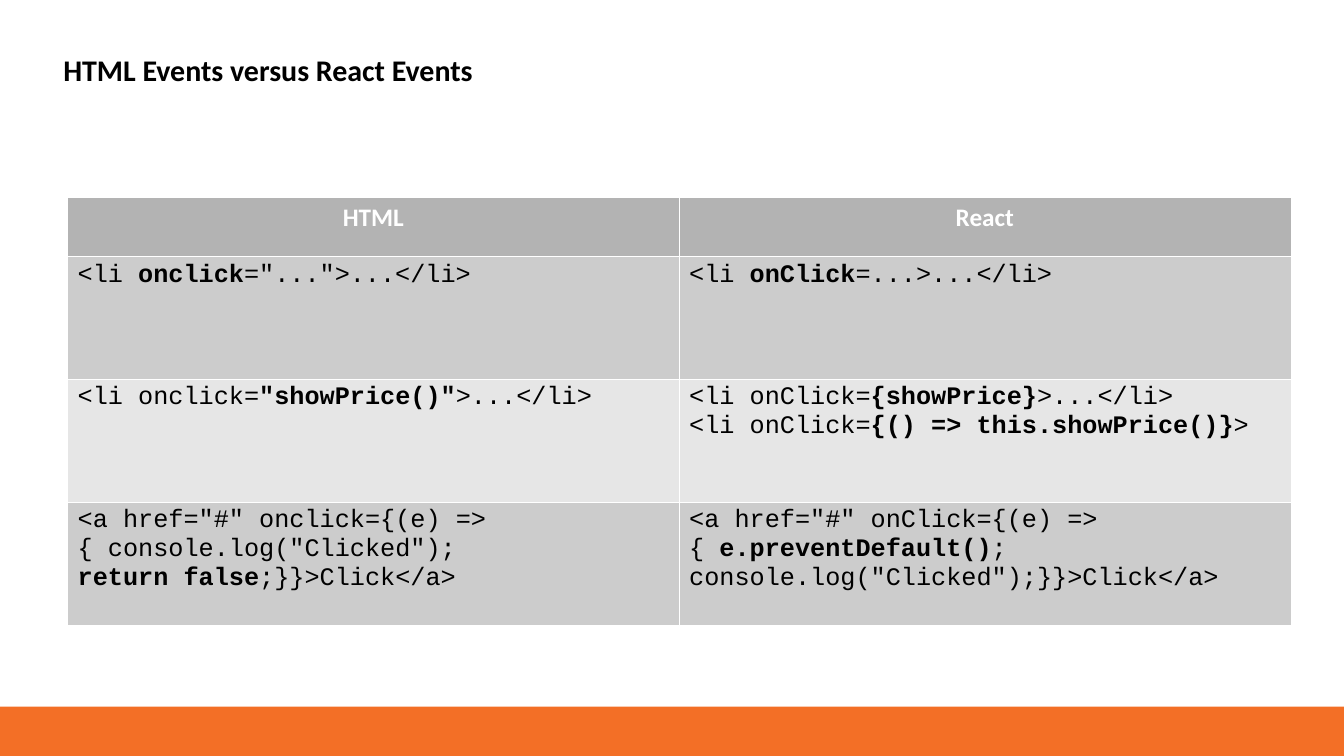
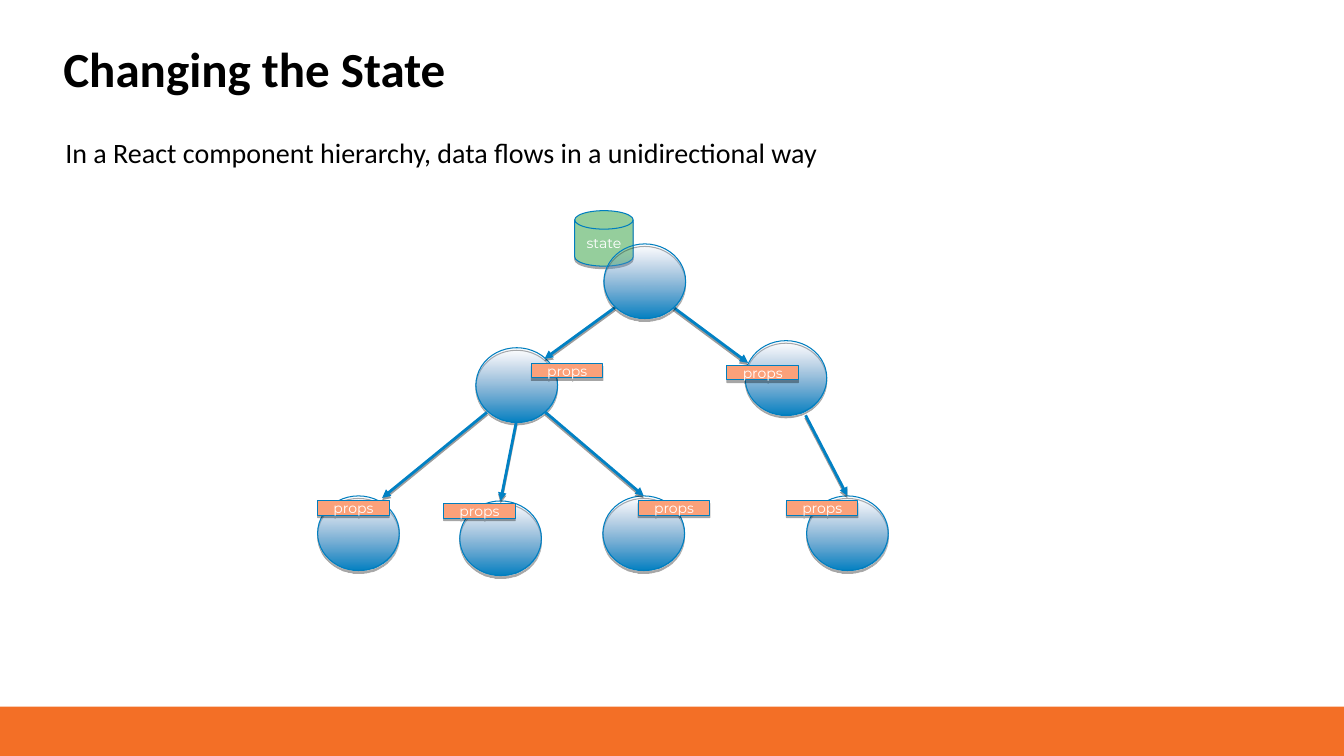
from lxml.etree import SubElement as Sub
from pptx import Presentation
from pptx.dml.color import RGBColor as Rgb
from pptx.enum.shapes import MSO_CONNECTOR as Link, MSO_SHAPE as Kind
from pptx.enum.text import MSO_ANCHOR as Anchor, PP_ALIGN as Align
from pptx.oxml import parse_xml
from pptx.oxml.ns import nsdecls, qn
from pptx.util import Inches, Pt

HUES = {
    "black": "000000", "white": "FFFFFF", "band": "F36F26",
    "head": "B3B3B3", "odd": "CCCCCC", "even": "E6E6E6",
    "deep": "0080C3", "pale": "A0C7FF", "edge": "007EBF",
    "arrow": "0181C4", "state": "95CE9C", "props": "FBA17A",
}
WIDE, HIGH = 13.33, 7.5
NODE_W, NODE_H = 0.81, 0.74
TAG_W, TAG_H = 0.71, 0.14


def hue(name):
    return Rgb.from_string(HUES[name])


def box(*sizes):
    return [Inches(size) for size in sizes]


class Deck:
    def __init__(self):
        self.prs = Presentation()
        self.prs.slide_width, self.prs.slide_height = box(WIDE, HIGH)
        self.slide = None

    def page(self, title, size):
        self.slide = self.prs.slides.add_slide(self.prs.slide_layouts[6])
        self.shape(Kind.RECTANGLE, 0, 7.01, WIDE, 0.49, "band")
        frame = self.text(title, 0.53, 0.29, 8.47, 0.85, size, True)
        frame.vertical_anchor = Anchor.MIDDLE
        frame.paragraphs[0].line_spacing = 0.9

    def style(self, run, size, face="Calibri", tint="black", bold=False):
        font = run.font
        font.size, font.name, font.bold = Pt(size), face, bold
        font.color.rgb = hue(tint)

    def text(self, words, x, y, w, h, size, bold=False):
        frame = self.slide.shapes.add_textbox(*box(x, y, w, h)).text_frame
        frame.word_wrap = True
        frame.text = words
        self.style(frame.paragraphs[0].runs[0], size, bold=bold)
        return frame

    def shape(self, kind, x, y, w, h, fill):
        item = self.slide.shapes.add_shape(kind, *box(x, y, w, h))
        item.shadow.inherit = False
        item.fill.solid()
        item.fill.fore_color.rgb = hue(fill)
        item.line.fill.background()
        return item

    def shade(self, item, alpha, drop):
        props = item._element.spPr
        for old in props.findall(qn("a:effectLst")):
            props.remove(old)
        props.append(parse_xml(
            f'<a:effectLst {nsdecls("a")}><a:outerShdw blurRad="0" dist="{Pt(drop)}" '
            f'dir="5400000" rotWithShape="0"><a:srgbClr val="{HUES["black"]}">'
            f'<a:alpha val="{alpha * 1000}"/></a:srgbClr></a:outerShdw></a:effectLst>'))

    def trim(self, item):
        item.line.color.rgb = hue("edge")
        item.line.width = Pt(0.75)
        self.shade(item, 35, 1.8)

    def node(self, x, y):
        item = self.shape(Kind.OVAL, x, y, NODE_W, NODE_H, "deep")
        self.trim(item)
        props = item._element.spPr
        solid = props.find(qn("a:solidFill"))
        props.replace(solid, parse_xml(
            f'<a:gradFill {nsdecls("a")} rotWithShape="1"><a:gsLst>'
            f'<a:gs pos="0"><a:srgbClr val="{HUES["deep"]}"/></a:gs>'
            f'<a:gs pos="100000"><a:srgbClr val="{HUES["pale"]}"><a:alpha val="0"/>'
            '</a:srgbClr></a:gs></a:gsLst><a:lin ang="16200000" scaled="0"/></a:gradFill>'))
        return item

    def tag(self, words, kind, x, y, w, h):
        item = self.shape(kind, x, y, w, h, words)
        self.trim(item)
        frame = item.text_frame
        frame.text = words
        frame.vertical_anchor = Anchor.MIDDLE
        para = frame.paragraphs[0]
        para.alignment = Align.CENTER
        self.style(para.runs[0], 10, "Montserrat", "white")

    def arrow(self, start, end, goal=None):
        item = self.slide.shapes.add_connector(Link.STRAIGHT, *box(*start, *end))
        if goal is not None:
            item.end_connect(goal, 0)
        item.line.color.rgb = hue("arrow")
        item.line.width = Pt(2)
        Sub(item.line._get_or_add_ln(), qn("a:tailEnd"), type="triangle")
        self.shade(item, 38, 1.6)

    def cell(self, cell, words, fill, head):
        props = cell._tc.get_or_add_tcPr()
        for side in "LRTB":
            edge = Sub(props, qn(f"a:ln{side}"), w=str(Pt(0.06)))
            Sub(Sub(edge, qn("a:solidFill")), qn("a:srgbClr"), val=HUES["white"])
        cell.fill.solid()
        cell.fill.fore_color.rgb = hue(fill)
        frame = cell.text_frame
        for row, line in enumerate(words.split("\n")):
            para = frame.add_paragraph() if row else frame.paragraphs[0]
            if head:
                para.alignment = Align.CENTER
            for turn, part in enumerate(line.split("*")):
                if not part:
                    continue
                run = para.add_run()
                run.text = part
                if head:
                    self.style(run, 18, tint="white", bold=True)
                else:
                    self.style(run, 18, "Courier New", bold=turn % 2 == 1)

    def table(self, rows, x, y, w, highs):
        grid = self.slide.shapes.add_table(
            len(rows), len(rows[0]), *box(x, y, w, sum(highs))).table
        for i, (row, high) in enumerate(zip(rows, highs)):
            grid.rows[i].height = Inches(high)
            fill = "head" if i == 0 else "odd" if i % 2 else "even"
            for j, words in enumerate(row):
                self.cell(grid.cell(i, j), words, fill, i == 0)


EVENTS = [
    ("HTML", "React"),
    ('<li *onclick*="...">...</li>', "<li *onClick*=...>...</li>"),
    ('<li onclick=*"showPrice()"*>...</li>',
     "<li onClick=*{showPrice}*>...</li>\n<li onClick=*{() => this.showPrice()}*>"),
    ('<a href="#" onclick={(e) => { console.log("Clicked");\n*return false*;}}>Click</a>',
     '<a href="#" onClick={(e) => { *e.preventDefault()*; console.log("Clicked");}}>Click</a>'),
]
NODES = {
    "left": (4.72, 3.45), "right": (7.39, 3.38), "leaf1": (3.15, 4.92),
    "leaf2": (4.56, 4.97), "leaf3": (5.98, 4.92), "leaf4": (8, 4.92),
}
ARROWS = [
    ((6.1, 3.05), (5.4, 3.56), None),
    ((6.68, 3.05), (7.42, 3.6), None),
    ((4.83, 4.09), (3.79, 4.94), None),
    ((5.12, 4.19), (4.97, 4.97), "leaf2"),
    ((5.41, 4.09), (6.38, 4.92), "leaf3"),
    ((7.99, 4.12), (8.41, 4.92), "leaf4"),
]
TAGS = [(7.21, 3.63), (7.8, 4.97), (5.27, 3.61), (6.33, 4.97), (4.4, 5), (3.15, 4.97)]


def main():
    deck = Deck()
    deck.page("HTML Events versus React Events", 21.4)
    deck.table(EVENTS, 0.67, 1.96, 12.13, [0.58] + [1.22] * 3)

    deck.page("Changing the State", 35)
    deck.text("In a React component hierarchy, data flows in a unidirectional way",
              0.55, 1.3, 12.18, 0.5, 20)
    nodes = {name: deck.node(*spot) for name, spot in NODES.items()}
    for start, end, goal in ARROWS:
        deck.arrow(start, end, nodes.get(goal))
    deck.tag("state", Kind.FLOWCHART_MAGNETIC_DISK, 5.7, 2.09, 0.58, 0.55)
    deck.node(5.99, 2.42)
    for x, y in TAGS:
        deck.tag("props", Kind.RECTANGLE, x, y, TAG_W, TAG_H)
    deck.prs.save("out.pptx")


if __name__ == "__main__":
    main()
